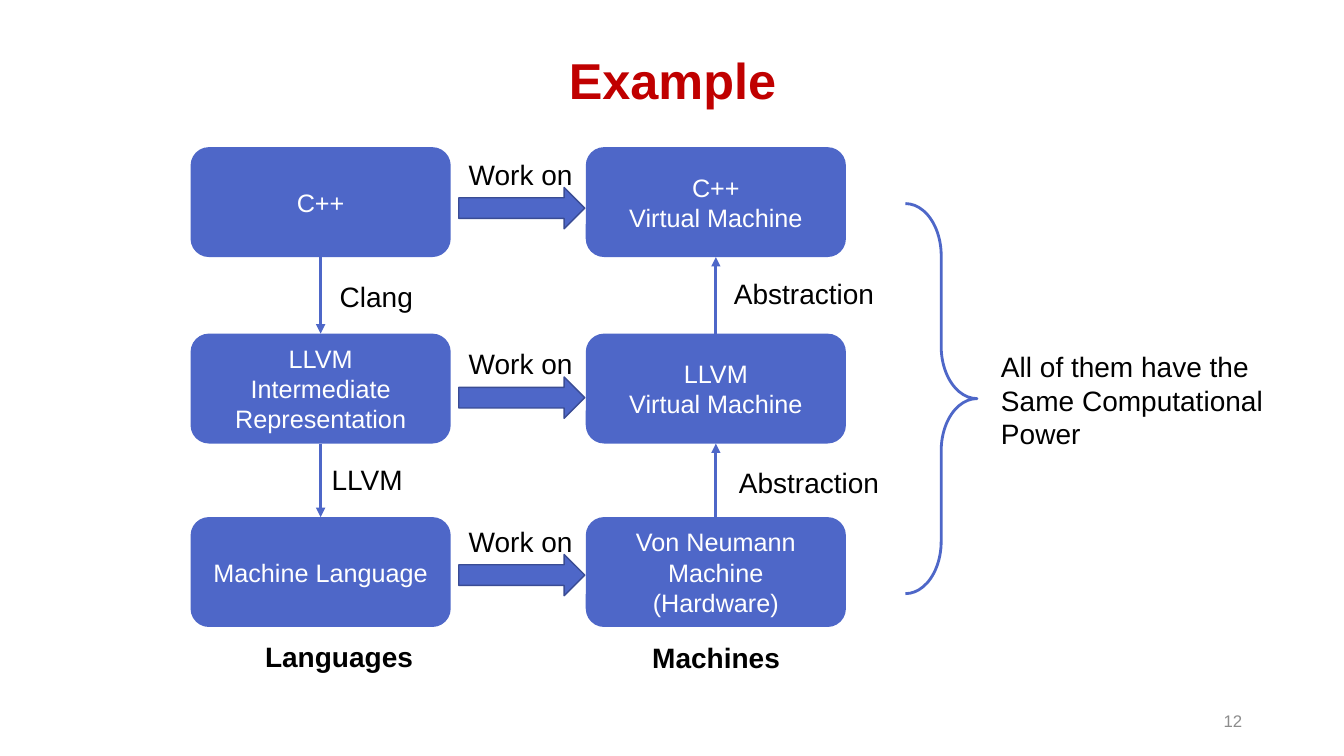
from lxml import etree
from pptx import Presentation
from pptx.dml.color import RGBColor
from pptx.enum.shapes import MSO_CONNECTOR, MSO_SHAPE
from pptx.enum.text import MSO_ANCHOR, MSO_AUTO_SIZE, PP_ALIGN
from pptx.oxml.ns import qn
from pptx.util import Emu, Pt

PX = 9144
TITLE_ONLY = 5
LEFT, CENTER, RIGHT = PP_ALIGN.LEFT, PP_ALIGN.CENTER, PP_ALIGN.RIGHT
TOP, MIDDLE = MSO_ANCHOR.TOP, MSO_ANCHOR.MIDDLE
NO_AUTOFIT = MSO_AUTO_SIZE.NONE
STRAIGHT = MSO_CONNECTOR.STRAIGHT
BOX_TOP, BOX_BOTTOM = 0, 2

BLUE, DARK_BLUE, RED = "4E67C8", "3A4C94", "C00000"
BLACK, WHITE, GRAY = "000000", "FFFFFF", "8C8C8C"

TITLE = "Example"
LANGUAGES = ["C++", "LLVM\nIntermediate\nRepresentation", "Machine Language"]
MACHINES = ["C++\nVirtual Machine", "LLVM\nVirtual Machine",
            "Von Neumann\nMachine\n(Hardware)"]
ROW_TOPS = [146, 331, 513]
LANGUAGE_LEFT, MACHINE_LEFT = 189, 581
BOX_WIDTH, BOX_HEIGHT = 258, 109

WORK_ON = "Work on"
ARROW_LEFT, ARROW_WIDTH, ARROW_HEIGHT = 455, 125, 41
ARROW_TOPS = [186, 374, 550]
WORK_ON_RISE = 35

LABEL_WIDTH, LABEL_HEIGHT = 195, 44
LABELS = [
    ("Clang", 327, 272, False),
    ("LLVM", 319, 454, False),
    ("Abstraction", 718, 269, False),
    ("Abstraction", 723, 457, False),
    ("Languages", 253, 630, True),
    ("Machines", 637, 631, True),
]
BRACE = (898, 202, 71, 387)
CONCLUSION = "All of them have the Same Computational Power"
CONCLUSION_AREA = (983, 342, 300, 111)
PAGE_NUMBER = "12"
PAGE_NUMBER_AREA = (942, 695, 300, 40)


def color(value):
    return RGBColor.from_string(value)


def px(*lengths):
    return [Emu(length * PX) for length in lengths]


def write(shape, text, size=20, fill=BLACK, bold=False, align=LEFT,
          anchor=TOP, line_spacing=None):
    frame = shape.text_frame
    frame.word_wrap = True
    frame.auto_size = NO_AUTOFIT
    frame.vertical_anchor = anchor
    frame.text = text
    for paragraph in frame.paragraphs:
        paragraph.alignment = align
        paragraph.line_spacing = line_spacing
        font = paragraph.font
        font.name = "Arial"
        font.size = Pt(size)
        font.bold = bold
        font.color.rgb = color(fill)


def add_text(slide, area, text, **text_format):
    write(slide.shapes.add_textbox(*px(*area)), text, **text_format)


def add_preset(slide, preset, area, fill=None, line=None, width=1):
    shape = slide.shapes.add_shape(preset, *px(*area))
    shape.shadow.inherit = False
    if fill:
        shape.fill.solid()
        shape.fill.fore_color.rgb = color(fill)
    else:
        shape.fill.background()
    if line:
        shape.line.color.rgb = color(line)
        shape.line.width = Pt(width)
    else:
        shape.line.fill.background()
    return shape


def add_box_column(slide, left, texts):
    boxes = []
    for top, text in zip(ROW_TOPS, texts):
        area = (left, top, BOX_WIDTH, BOX_HEIGHT)
        box = add_preset(slide, MSO_SHAPE.ROUNDED_RECTANGLE, area, fill=BLUE)
        write(box, text, size=18, fill=WHITE, align=CENTER, anchor=MIDDLE)
        boxes.append(box)
    return boxes


def join(slide, start, start_side, end, end_side):
    connector = slide.shapes.add_connector(STRAIGHT, 0, 0, 0, 0)
    connector.begin_connect(start, start_side)
    connector.end_connect(end, end_side)
    connector.line.color.rgb = color(BLUE)
    connector.line.width = Pt(2.25)
    line = connector.line._get_or_add_ln()
    etree.SubElement(line, qn("a:tailEnd"), type="triangle")
    etree.SubElement(connector._element.spPr, qn("a:effectLst"))


def main():
    presentation = Presentation()
    presentation.slide_width, presentation.slide_height = px(1333, 750)
    slide = presentation.slides.add_slide(presentation.slide_layouts[TITLE_ONLY])

    title = slide.shapes.title
    title.left, title.top, title.width, title.height = px(92, 40, 1150, 86)
    write(title, TITLE, size=36, fill=RED, bold=True, align=CENTER,
          anchor=MIDDLE, line_spacing=0.9)

    languages = add_box_column(slide, LANGUAGE_LEFT, LANGUAGES)
    machines = add_box_column(slide, MACHINE_LEFT, MACHINES)
    for upper, lower in zip(languages, languages[1:]):
        join(slide, upper, BOX_BOTTOM, lower, BOX_TOP)
    for upper, lower in zip(machines, machines[1:]):
        join(slide, lower, BOX_TOP, upper, BOX_BOTTOM)

    for top in ARROW_TOPS:
        add_preset(slide, MSO_SHAPE.RIGHT_ARROW,
                   (ARROW_LEFT, top, ARROW_WIDTH, ARROW_HEIGHT),
                   fill=BLUE, line=DARK_BLUE)
        add_text(slide, (ARROW_LEFT, top - WORK_ON_RISE, LABEL_WIDTH,
                         LABEL_HEIGHT), WORK_ON)

    for text, left, top, bold in LABELS:
        add_text(slide, (left, top, LABEL_WIDTH, LABEL_HEIGHT), text, bold=bold)

    brace = add_preset(slide, MSO_SHAPE.RIGHT_BRACE, BRACE, line=BLUE, width=2)
    brace.adjustments[0] = 0.73
    add_text(slide, CONCLUSION_AREA, CONCLUSION)
    add_text(slide, PAGE_NUMBER_AREA, PAGE_NUMBER, size=12, fill=GRAY,
             align=RIGHT, anchor=MIDDLE)

    presentation.save("out.pptx")


if __name__ == "__main__":
    main()
